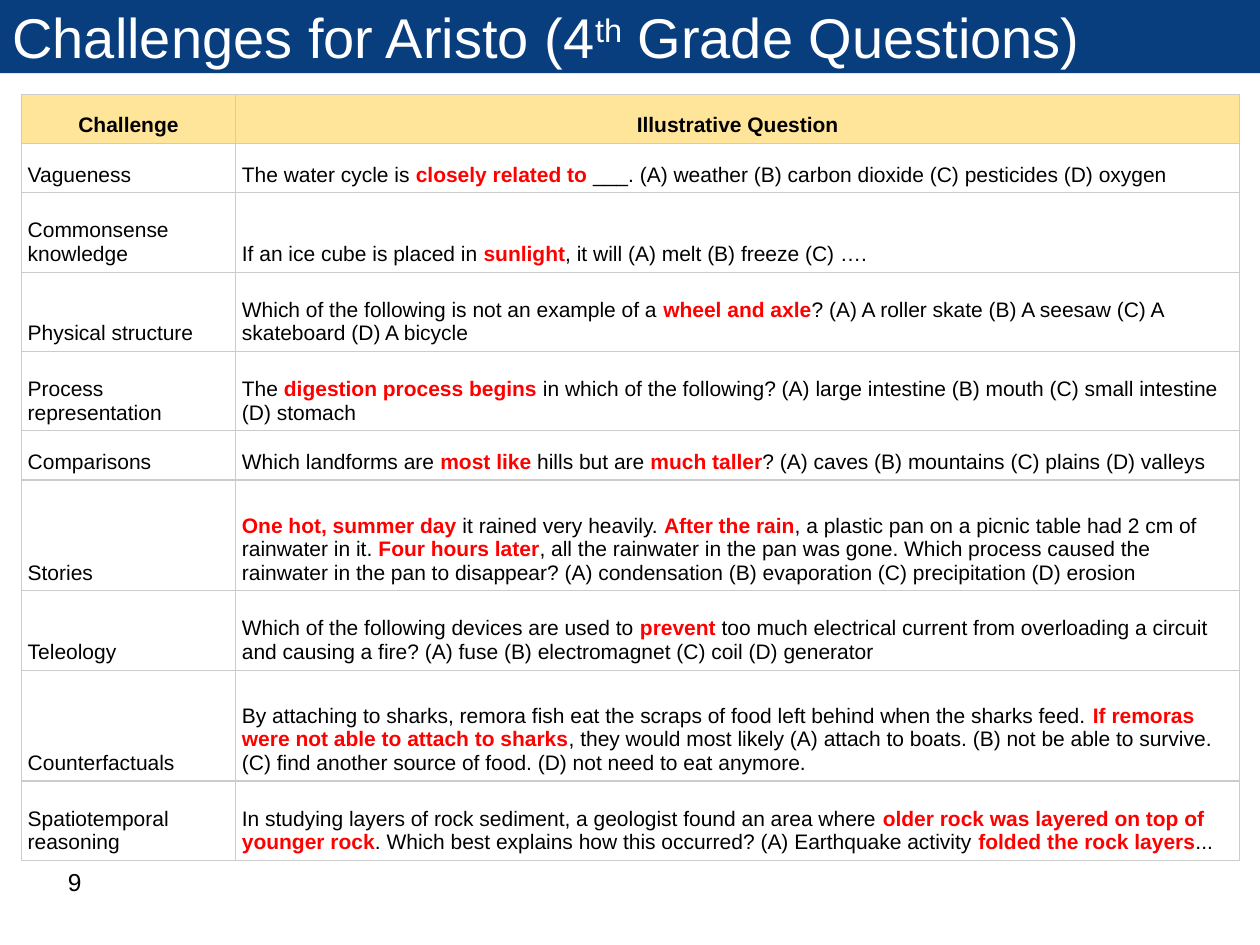
from typing import NamedTuple

from lxml import etree
from pptx import Presentation
from pptx.dml.color import RGBColor
from pptx.enum.shapes import MSO_SHAPE
from pptx.enum.text import MSO_ANCHOR, PP_ALIGN
from pptx.oxml.ns import qn
from pptx.util import Inches, Pt

RECT = MSO_SHAPE.RECTANGLE
LEFT, CENTER = PP_ALIGN.LEFT, PP_ALIGN.CENTER
MIDDLE, BOTTOM = MSO_ANCHOR.MIDDLE, MSO_ANCHOR.BOTTOM

COLORS = {
    "navy": "083D7E",
    "cream": "FFE599",
    "grid": "CCCCCC",
    "black": "000000",
    "red": "FF0000",
    "white": "FFFFFF",
}
FONT = "Arial"
WIDTHS = (1.7, 7.97)
HEIGHTS = {1: 0.39, 2: 0.63, 3: 0.88}  # row height by lines of text
PAD = Inches(0.05)


class Row(NamedTuple):
    lines: int
    name: str
    quiz: str  # key phrases stand between asterisks


ROWS = [
    Row(1, "Vagueness",
        "The water cycle is *closely related to* ___. (A) weather "
        "(B) carbon dioxide (C) pesticides (D) oxygen"),
    Row(2, "Commonsense knowledge",
        "If an ice cube is placed in *sunlight*, it will (A) melt (B) freeze (C) …."),
    Row(2, "Physical structure",
        "Which of the following is not an example of a *wheel and axle*? "
        "(A) A roller skate (B) A seesaw (C) A skateboard (D) A bicycle"),
    Row(2, "Process representation",
        "The *digestion process begins* in which of the following? "
        "(A) large intestine (B) mouth (C) small intestine (D) stomach"),
    Row(1, "Comparisons",
        "Which landforms are *most like* hills but are *much taller*? "
        "(A) caves (B) mountains (C) plains (D) valleys"),
    Row(3, "Stories",
        "*One hot, summer day *it rained very heavily. *After the rain*, a plastic "
        "pan on a picnic table had 2 cm of rainwater in it. *Four hours later*, all "
        "the rainwater in the pan was gone. Which process caused the rainwater in "
        "the pan to disappear? (A) condensation (B) evaporation (C) precipitation "
        "(D) erosion"),
    Row(2, "Teleology",
        "Which of the following devices are used to *prevent* too much electrical "
        "current from overloading a circuit and causing a fire? (A) fuse "
        "(B) electromagnet (C) coil (D) generator"),
    Row(3, "Counterfactuals",
        "By attaching to sharks, remora fish eat the scraps of food left behind when "
        "the sharks feed. *If remoras were not able to attach to sharks*, they would "
        "most likely (A) attach to boats. (B) not be able to survive. (C) find "
        "another source of food. (D) not need to eat anymore."),
    Row(2, "Spatiotemporal reasoning",
        "In studying layers of rock sediment, a geologist found an area where "
        "*older rock was layered on top of younger rock*. Which best explains how "
        "this occurred? (A) Earthquake activity *folded the rock layers*..."),
]


def color(name: str) -> RGBColor:
    return RGBColor.from_string(COLORS[name])


def write(frame, text: str, *, size: float, ink: str = "black",
          bold: bool = False, align=LEFT) -> None:
    """Set text; *phrase* turns bold red and ^mark^ is raised."""
    frame.word_wrap = True
    para = frame.paragraphs[0]
    para.alignment = align
    for i, part in enumerate(text.split("*")):
        for j, piece in enumerate(part.split("^")):
            if not piece:
                continue
            run = para.add_run()
            run.text = piece
            font = run.font
            font.name, font.size = FONT, Pt(size)
            font.bold = bold or i % 2 == 1
            font.color.rgb = color("red" if i % 2 else ink)
            if j % 2:
                font._element.set("baseline", "30000")


def border(cell) -> None:
    props = cell._tc.get_or_add_tcPr()
    for side in ("lnL", "lnR", "lnT", "lnB"):
        line = etree.SubElement(props, qn(f"a:{side}"), w=str(Pt(0.75)))
        fill = etree.SubElement(line, qn("a:solidFill"))
        etree.SubElement(fill, qn("a:srgbClr"), val=COLORS["grid"])


def fill_cell(cell, text: str, head: bool) -> None:
    cell.vertical_anchor = BOTTOM
    cell.margin_left = cell.margin_right = PAD
    cell.margin_top = cell.margin_bottom = PAD
    border(cell)
    if head:
        cell.fill.solid()
        cell.fill.fore_color.rgb = color("cream")
    else:
        cell.fill.background()
    write(cell.text_frame, text, size=12, bold=head,
          align=CENTER if head else LEFT)


def add_grid(slide) -> None:
    rows = [Row(1, "Challenge", "Illustrative Question"), *ROWS]
    high = sum(HEIGHTS[row.lines] for row in rows)
    table = slide.shapes.add_table(
        len(rows), len(WIDTHS), Inches(0.17), Inches(0.75),
        Inches(sum(WIDTHS)), Inches(high)).table
    table.first_row = table.horz_banding = False
    for col, wide in zip(table.columns, WIDTHS):
        col.width = Inches(wide)
    for i, row in enumerate(rows):
        table.rows[i].height = Inches(HEIGHTS[row.lines])
        for j, text in enumerate((row.name, row.quiz)):
            fill_cell(table.cell(i, j), text, head=i == 0)


def add_title(slide) -> None:
    bar = slide.shapes.add_shape(RECT, 0, 0, Inches(10), Inches(0.58))
    bar.shadow.inherit = False
    bar.fill.solid()
    bar.fill.fore_color.rgb = color("navy")
    bar.line.fill.background()
    frame = bar.text_frame
    frame.vertical_anchor = MIDDLE
    write(frame, "Challenges for Aristo (4^th^ Grade Questions)",
          size=32, ink="white")


def main() -> None:
    deck = Presentation()
    deck.slide_width, deck.slide_height = Inches(10), Inches(7.5)
    slide = deck.slides.add_slide(deck.slide_layouts[6])
    add_grid(slide)
    number = slide.shapes.add_textbox(
        Inches(0.44), Inches(6.83), Inches(2.33), Inches(0.52))
    write(number.text_frame, "9", size=14)
    add_title(slide)
    deck.save("out.pptx")


if __name__ == "__main__":
    main()
